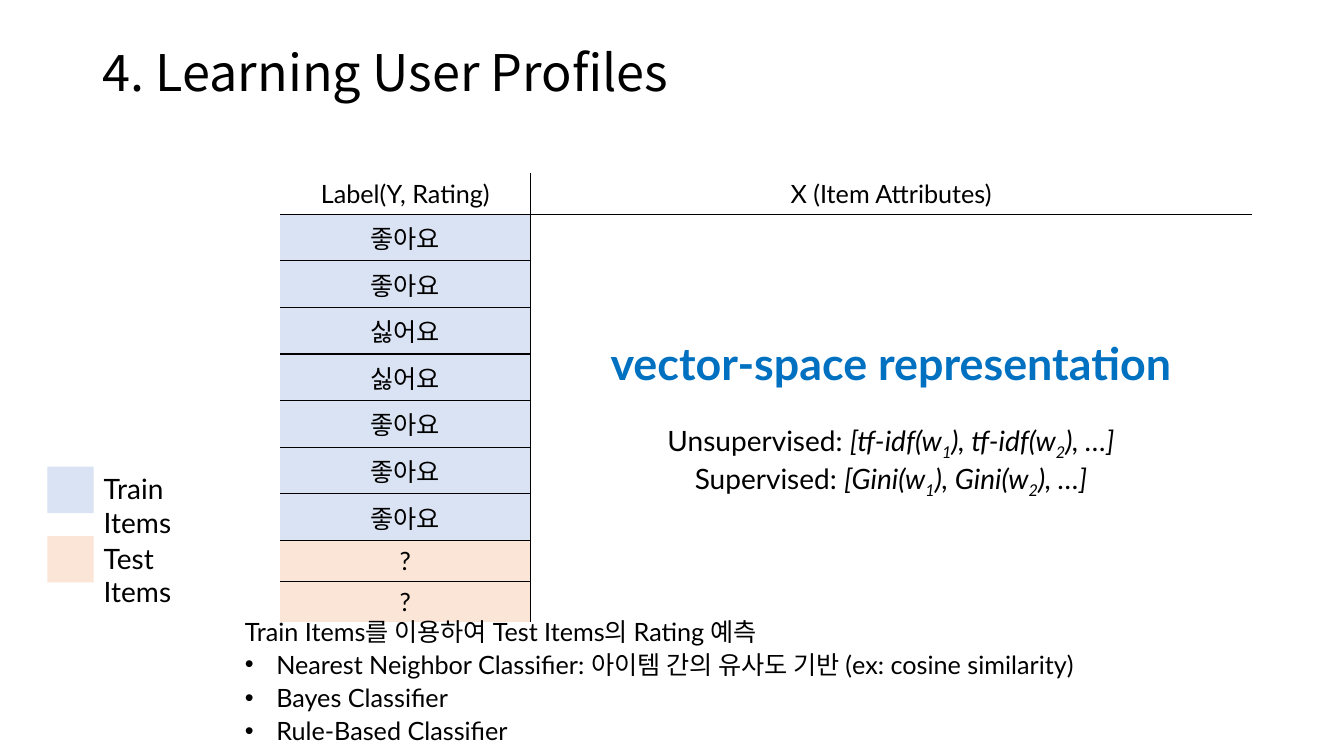
from typing import NamedTuple

from lxml import etree
from pptx import Presentation
from pptx.dml.color import RGBColor
from pptx.enum import shapes, text
from pptx.oxml import ns
from pptx.util import Pt

BLACK = RGBColor(0x00, 0x00, 0x00)
BLUE = RGBColor(0x00, 0x70, 0xC0)
TRAIN = RGBColor(0xDA, 0xE3, 0xF3)
TEST = RGBColor(0xFB, 0xE5, 0xD6)
LATIN, KOREAN = "Lato", "Noto Sans CJK KR"
PLAIN_TABLE = "{2D5ABB26-0587-4C30-8999-92F81FD0307C}"


class Rating(NamedTuple):
    label: str
    fill: RGBColor


class LegendItem(NamedTuple):
    label: str
    fill: RGBColor
    top: float
    width: float


RATINGS = [Rating(label, TRAIN) for label in
           ("좋아요", "좋아요", "싫어요", "싫어요", "좋아요", "좋아요", "좋아요")]
RATINGS += [Rating("?", TEST)] * 2
LEGEND = [LegendItem("Train Items", TRAIN, 333.4, 108.7),
          LegendItem("Test Items", TEST, 383, 102.2)]
METHODS = ["Nearest Neighbor Classifier: 아이템 간의 유사도 기반 (ex: cosine similarity)",
           "Bayes Classifier", "Rule-Based Classifier"]


def add_run(p, words: str, size: float, color: RGBColor = BLACK, font: str = LATIN,
            subscript: bool = False, **formats) -> None:
    r = p.add_run()
    r.text = words
    r.font.color.rgb = color
    for name, value in {"name": font, "size": Pt(size), **formats}.items():
        setattr(r.font, name, value)
    rPr = r.font._element
    etree.SubElement(rPr, ns.qn("a:ea")).set("typeface", KOREAN)
    if subscript:
        rPr.set("baseline", "-25000")


def add_formula(p, lead: str, function: str) -> None:
    """Write a vector such as [f(w1), f(w2), …] after its lead-in."""
    p.alignment = text.PP_ALIGN.CENTER
    add_run(p, lead, 20)
    for part, index in ((f"[{function}(w", "1"), (f"), {function}(w", "2")):
        add_run(p, part, 20, italic=True)
        add_run(p, index, 20, italic=True, subscript=True)
    add_run(p, "), …]", 20, italic=True)


def set_borders(cell, *sides: str) -> None:
    """Draw thin black lines on the named sides, given in L, R, T, B order."""
    tcPr = cell._tc.get_or_add_tcPr()
    for i, side in enumerate(sides):
        ln = etree.Element(ns.qn(f"a:ln{side}"), w=str(Pt(1)))
        fill = etree.SubElement(ln, ns.qn("a:solidFill"))
        etree.SubElement(fill, ns.qn("a:srgbClr"), val=str(BLACK))
        tcPr.insert(i, ln)


def fill_cell(cell, words: str, fill: RGBColor | None, *sides: str) -> None:
    p = cell.text_frame.paragraphs[0]
    p.alignment = text.PP_ALIGN.CENTER
    add_run(p, words, 18)
    if fill is None:
        cell.fill.background()
    else:
        cell.fill.solid()
        cell.fill.fore_color.rgb = fill
    set_borders(cell, *sides)


def add_legend_item(group, item: LegendItem) -> None:
    swatch = group.shapes.add_shape(shapes.MSO_SHAPE.RECTANGLE, Pt(33.8), Pt(item.top),
                                    Pt(33.1), Pt(33.1))
    swatch.shadow.inherit = False
    swatch.fill.solid()
    swatch.fill.fore_color.rgb = item.fill
    swatch.line.fill.background()
    box = group.shapes.add_textbox(Pt(67), Pt(item.top), Pt(item.width), Pt(31.5))
    tf = box.text_frame
    tf.word_wrap = True
    tf.margin_right = Pt(item.width - 67)  # keeps one word to a line
    add_run(tf.paragraphs[0], item.label, 20)


def add_title(s) -> None:
    sp = s.shapes.title
    frame = {"left": Pt(66), "top": Pt(16.6), "width": Pt(828), "height": Pt(74.9)}
    for name, value in frame.items():
        setattr(sp, name, value)
    sp.text_frame.vertical_anchor = text.MSO_ANCHOR.MIDDLE
    p = sp.text_frame.paragraphs[0]
    p.alignment = text.PP_ALIGN.LEFT
    p.line_spacing = 0.9
    add_run(p, "4. Learning User Profiles", 36, font=KOREAN)


def add_rating_table(s) -> None:
    rows = len(RATINGS) + 1
    frame = s.shapes.add_table(rows, 2, Pt(200.2), Pt(123.8), Pt(694), Pt(29.2 * rows))
    table = frame.table
    table.first_row = table.horz_banding = False
    next(frame._element.iter(ns.qn("a:tableStyleId"))).text = PLAIN_TABLE
    for column, width in zip(table.columns, (178.6, 515.4)):
        column.width = Pt(width)
    for row in table.rows:
        row.height = Pt(29.2)

    # Header and ratings
    fill_cell(table.cell(0, 0), "Label(Y, Rating)", None, "R", "B")
    fill_cell(table.cell(0, 1), "X (Item Attributes)", None, "L", "B")
    for i, rating in enumerate(RATINGS, start=1):
        sides = ("R", "T") if i == rows - 1 else ("R", "T", "B")
        fill_cell(table.cell(i, 0), rating.label, rating.fill, *sides)

    # Item attributes, one cell beside all ratings
    cell = table.cell(1, 1)
    cell.merge(table.cell(rows - 1, 1))
    cell.vertical_anchor = text.MSO_ANCHOR.MIDDLE
    cell.fill.background()
    set_borders(cell, "L", "T")
    tf = cell.text_frame
    p = tf.paragraphs[0]
    p.alignment = text.PP_ALIGN.CENTER
    add_run(p, "vector-space representation", 32, BLUE, bold=True)
    p = tf.add_paragraph()
    p.space_before = Pt(24)
    add_formula(p, "Unsupervised: ", "tf-idf")
    add_formula(tf.add_paragraph(), "Supervised: ", "Gini")


def add_methods(s) -> None:
    tf = s.shapes.add_textbox(Pt(167.8), Pt(434.2), Pt(629.3), Pt(103)).text_frame
    tf.word_wrap = True
    p = tf.paragraphs[0]
    p.line_spacing = 1.1
    add_run(p, "Train Items를 이용하여 Test Items의 Rating 예측", 18)
    for method in METHODS:
        p = tf.add_paragraph()
        p.line_spacing = 1.1
        pPr = p._p.get_or_add_pPr()
        pPr.set("marL", str(Pt(22.5)))
        pPr.set("indent", str(-Pt(22.5)))
        etree.SubElement(pPr, ns.qn("a:buFont"), typeface="Arial")
        etree.SubElement(pPr, ns.qn("a:buChar"), char="•")
        add_run(p, method, 18)


def main() -> None:
    prs = Presentation()
    prs.slide_width, prs.slide_height = Pt(960), Pt(540)
    s = prs.slides.add_slide(prs.slide_layouts[5])
    add_title(s)
    add_rating_table(s)
    legend = s.shapes.add_group_shape()
    for item in LEGEND:
        add_legend_item(legend, item)
    add_methods(s)
    prs.save("out.pptx")


if __name__ == "__main__":
    main()
